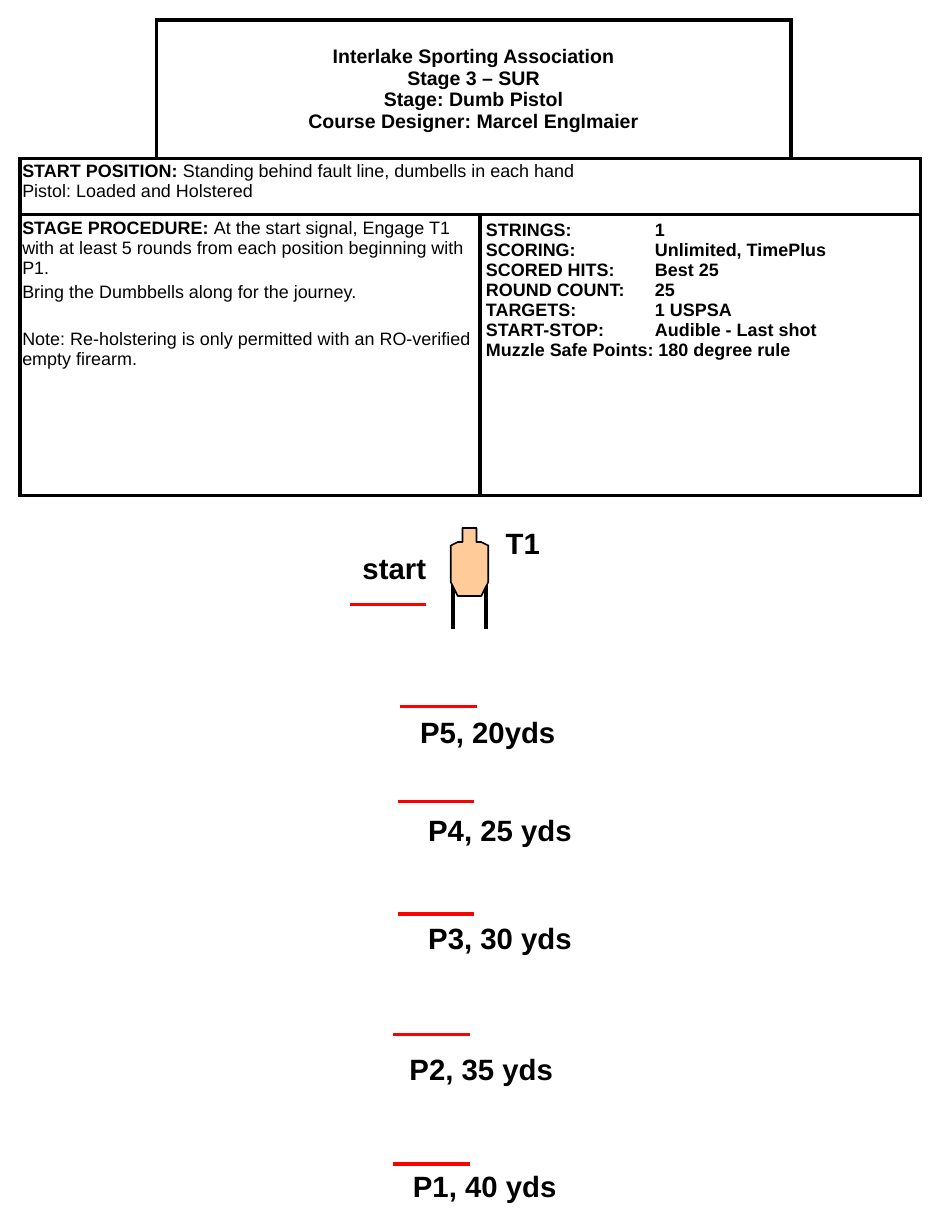
from lxml import etree
from pptx import Presentation
from pptx import util as u
from pptx.dml.color import RGBColor
from pptx.enum import shapes, text
from pptx.oxml import ns

BLACK = RGBColor(0, 0, 0)
WHITE = RGBColor(255, 255, 255)
RED = RGBColor(255, 0, 0)
TAN = RGBColor(0xFF, 0xCC, 0x99)
FONT = "Arial"
WIDE, HIGH = 8, 10.5
COLS = [1.16, 2.76, 2.65, 1.1]
ROWS = [1.18, 0.48, 2.39]

TITLE = ("Interlake Sporting Association\vStage 3 – SUR\v"
         "Stage: Dumb Pistol\vCourse Designer: Marcel Englmaier")
START = [("START POSITION: ", "Standing behind fault line, dumbells in each hand"),
         ("", "Pistol: Loaded and Holstered")]
STEPS = [("STAGE PROCEDURE: ", "At the start signal, Engage T1 with at least 5 "
          "rounds from each position beginning with P1."),
         ("", "Bring the Dumbbells along for the journey."),
         ("", "Note: Re-holstering is only permitted with an RO-verified "
          "empty firearm.")]
RULES = [("STRINGS:", "1"), ("SCORING:", "Unlimited, TimePlus"),
         ("SCORED HITS:", "Best 25"), ("ROUND COUNT:", "25"),
         ("TARGETS:", "1 USPSA"), ("START-STOP:", "Audible - Last shot")]

# label, label left, label top, label width, line left, line top
SPOTS = [("start", 2.99, 4.64, 0.86, 2.98, 5.15),
         ("P5, 20yds", 3.48, 6.04, 1.95, 3.41, 6.02),
         ("P4, 25 yds", 3.55, 6.87, 2.04, 3.39, 6.83),
         ("P3, 30 yds", 3.55, 7.79, 1.79, 3.39, 7.79),
         ("P2, 35 yds", 3.39, 8.91, 1.95, 3.35, 8.82),
         ("P1, 40 yds", 3.42, 9.91, 2.17, 3.35, 9.92)]
FAULT = 0.65  # length of a fault line


def style(font, size, bold=None):
    font.name, font.size, font.bold = FONT, u.Pt(size), bold
    font.color.rgb = BLACK


def border(cell, sides):
    """Draw black lines on the given sides, in the order L, R, T, B."""
    props = cell._tc.get_or_add_tcPr()
    for spot, side in enumerate(sides):
        line = etree.Element(ns.qn(f"a:ln{side}"), w=str(u.Pt(2.25)))
        fill = etree.SubElement(line, ns.qn("a:solidFill"))
        etree.SubElement(fill, ns.qn("a:srgbClr"), val=str(BLACK))
        props.insert(spot, line)


def pad(cell, side, top):
    cell.margin_left = cell.margin_right = u.Inches(side)
    cell.margin_top = cell.margin_bottom = u.Inches(top)


def paras(cell, count):
    """Yield the wanted number of paragraphs of a cell."""
    frame = cell.text_frame
    yield frame.paragraphs[0]
    for _ in range(count - 1):
        yield frame.add_paragraph()


def prose(cell, lines, gaps, space=None):
    """Fill a cell with plain lines, each with an optional bold lead."""
    for para, (lead, body), gap in zip(paras(cell, len(lines)), lines, gaps):
        style(para.font, 11)
        para.space_before, para.line_spacing = u.Pt(gap), space
        for words, bold in ((lead, True), (body, False)):
            if words:
                run = para.add_run()
                run.text = words
                style(run.font, 11, bold)


def facts(cell):
    """Fill a cell with names and values, lined up by a tab stop."""
    lines = ["\t".join(pair) for pair in RULES]
    lines.append("Muzzle Safe Points: 180 degree rule")
    for para, line in zip(paras(cell, len(lines)), lines):
        para.text = line
        tabs = etree.SubElement(para._p.get_or_add_pPr(), ns.qn("a:tabLst"))
        etree.SubElement(tabs, ns.qn("a:tab"), pos=str(u.Inches(1.44)), algn="l")
        style(para.font, 11, True)


def brief(slide):
    """Add the stage table."""
    frame = slide.shapes.add_table(len(ROWS), len(COLS), u.Inches(0.17), u.Inches(0.17),
                                   u.Inches(sum(COLS)), u.Inches(sum(ROWS)))
    table = frame.table
    table.first_row = table.horz_banding = False
    for col, width in zip(table.columns, COLS):
        col.width = u.Inches(width)
    for row, height in zip(table.rows, ROWS):
        row.height = u.Inches(height)

    # Corner cells beside the title stay open on the outside
    for r in range(len(ROWS)):
        for c in range(len(COLS)):
            cell = table.cell(r, c)
            cell.fill.solid()
            cell.fill.fore_color.rgb = WHITE
            border(cell, {(0, 0): "RB", (0, 3): "LB"}.get((r, c), "LRTB"))
    for r, first, last in ((0, 1, 2), (1, 0, 3), (2, 0, 1), (2, 2, 3)):
        table.cell(r, first).merge(table.cell(r, last))

    # Title
    head = table.cell(0, 1)
    pad(head, 0.05, 0.05)
    head.vertical_anchor = text.MSO_ANCHOR.MIDDLE
    para = head.text_frame.paragraphs[0]
    para.text, para.alignment = TITLE, text.PP_ALIGN.CENTER
    style(para.font, 12, True)

    # Start, procedure and rules
    pad(table.cell(1, 0), 0.02, 0.04)
    prose(table.cell(1, 0), START, (0, 1.1), 0.9)
    pad(table.cell(2, 0), 0.02, 0.03)
    prose(table.cell(2, 0), STEPS, (0, 2.4, 16.5))
    pad(table.cell(2, 2), 0.05, 0.05)
    facts(table.cell(2, 2))


def label(slide, words, left, top, width):
    box = slide.shapes.add_textbox(*map(u.Inches, (left, top, width, 0.4)))
    box.text_frame.word_wrap = True
    box.text_frame.auto_size = text.MSO_AUTO_SIZE.SHAPE_TO_FIT_TEXT
    para = box.text_frame.paragraphs[0]
    para.text = words
    style(para.font, 18, True)


def rule(owner, x1, y1, x2, y2, color, weight):
    line = owner.shapes.add_connector(shapes.MSO_CONNECTOR.STRAIGHT,
                                      *map(u.Inches, (x1, y1, x2, y2)))
    line.line.color.rgb, line.line.width = color, u.Pt(weight)
    etree.SubElement(line._element.spPr, ns.qn("a:effectLst"))


def target(slide):
    """Add the target: two legs and a body mirrored about its axis."""
    group = slide.shapes.add_group_shape()
    axis = 4
    for side in (-0.14, 0.14):
        rule(group, axis + side, 4.93, axis + side, 5.36, BLACK, 2.25)
    half = [(0.06, 4.5), (0.06, 4.62), (0.1, 4.62), (0.16, 4.65),
            (0.16, 4.96), (0.1, 5.08)]
    outline = [(axis + x, y) for x, y in half]
    outline += [(axis - x, y) for x, y in reversed(half)]
    # Freeform points are whole numbers, so they are given in EMU
    points = [(u.Inches(x), u.Inches(y)) for x, y in outline]
    path = group.shapes.build_freeform(*points[0], scale=1.0)
    path.add_line_segments(points[1:], close=True)
    body = path.convert_to_shape()
    body.shadow.inherit = False
    body.fill.solid()
    body.fill.fore_color.rgb = TAN
    body.line.color.rgb, body.line.width = BLACK, u.Pt(1)


def main():
    deck = Presentation()
    deck.slide_width, deck.slide_height = u.Inches(WIDE), u.Inches(HIGH)
    slide = deck.slides.add_slide(deck.slide_layouts[6])
    brief(slide)
    # Shooting positions
    for words, left, top, width, x, y in SPOTS:
        label(slide, words, left, top, width)
        rule(slide, x + FAULT, y, x, y, RED, 2)
    # Target
    label(slide, "T1", 4.21, 4.43, 0.58)
    target(slide)
    deck.save("out.pptx")


if __name__ == "__main__":
    main()
